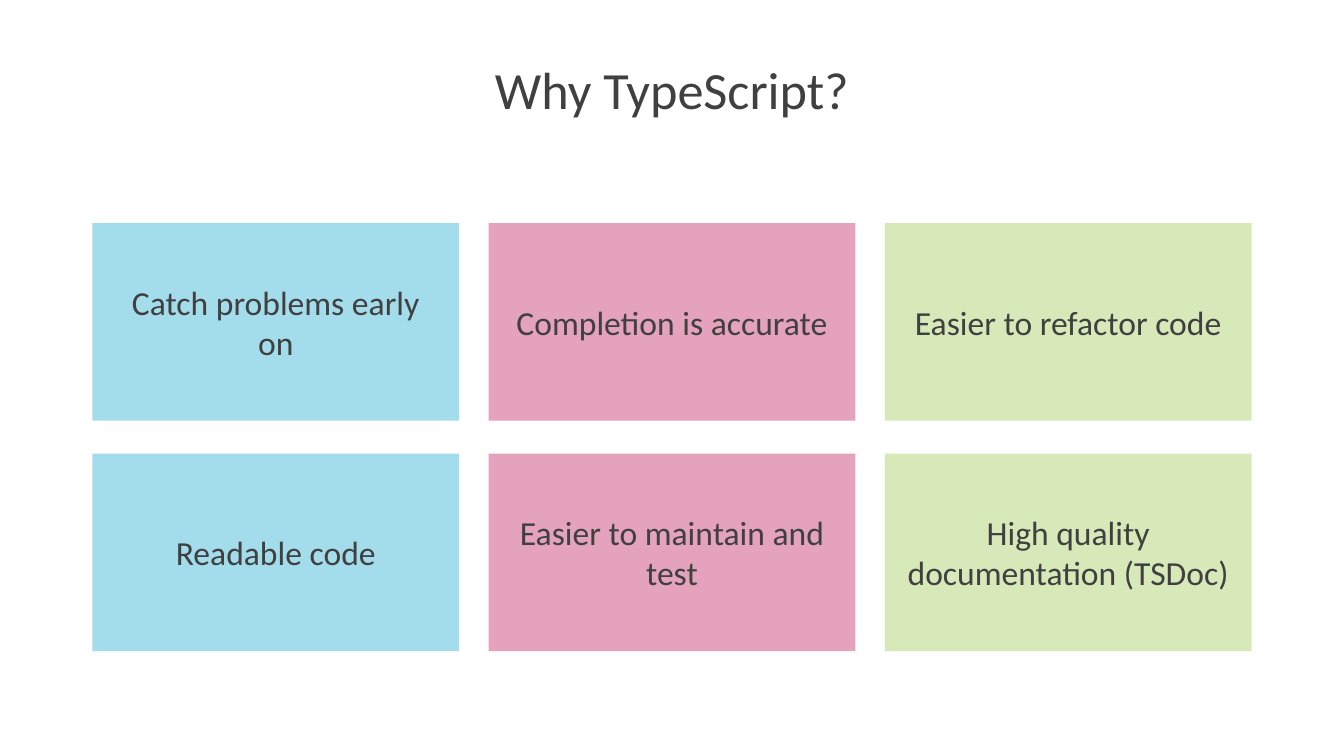
from pptx import Presentation
from pptx.dml.color import RGBColor
from pptx.enum.shapes import MSO_SHAPE
from pptx.enum.text import MSO_ANCHOR, PP_ALIGN
from pptx.util import Pt

TEXT = RGBColor(0x40, 0x40, 0x40)
BLUE = RGBColor(0xA3, 0xDC, 0xEB)
PINK = RGBColor(0xE5, 0xA2, 0xBC)
GREEN = RGBColor(0xD7, 0xE9, 0xB9)

COLUMN_FILLS = [BLUE, PINK, GREEN]
REASONS = [
    ["Catch problems early on", "Completion is accurate", "Easier to refactor code"],
    ["Readable code", "Easier to maintain and test", "High quality documentation (TSDoc)"],
]


def set_values(target, values):
    """Set each named attribute of the target."""
    for name, value in values.items():
        setattr(target, name, value)


def write_text(shape, text, size, margin, line_spacing):
    """Write one centred paragraph into the shape."""
    frame = shape.text_frame
    set_values(frame, {
        "word_wrap": True,
        "vertical_anchor": MSO_ANCHOR.MIDDLE,
        "margin_left": Pt(margin),
        "margin_right": Pt(margin),
        "margin_top": Pt(margin),
        "margin_bottom": Pt(margin),
    })
    paragraph = frame.paragraphs[0]
    paragraph.text = text
    set_values(paragraph, {"alignment": PP_ALIGN.CENTER, "line_spacing": line_spacing})
    set_values(paragraph.runs[0].font, {"name": "Calibri", "size": Pt(size)})
    paragraph.runs[0].font.color.rgb = TEXT


def add_title(slide, text, left, top, width, height):
    """Place the slide title in the given box."""
    title = slide.shapes.add_textbox(Pt(left), Pt(top), Pt(width), Pt(height))
    write_text(title, text, size=56, margin=0, line_spacing=0.9)


def add_card(slide, text, fill, left, top, width, height):
    """Place one filled reason card in the given box."""
    card = slide.shapes.add_shape(
        MSO_SHAPE.RECTANGLE, Pt(left), Pt(top), Pt(width), Pt(height))
    card.shadow.inherit = False
    card.fill.solid()
    card.fill.fore_color.rgb = fill
    card.line.fill.background()
    write_text(card, text, size=36, margin=21.6, line_spacing=1.0)


def add_card_grid(slide, rows, left, top, width, height, column_gap, row_gap):
    """Share the given box equally among rows of cards."""
    columns = len(COLUMN_FILLS)
    card_width = (width - column_gap * (columns - 1)) / columns
    card_height = (height - row_gap * (len(rows) - 1)) / len(rows)
    for row, reasons in enumerate(rows):
        for column, (reason, fill) in enumerate(zip(reasons, COLUMN_FILLS)):
            add_card(slide, reason, fill,
                     left + column * (card_width + column_gap),
                     top + row * (card_height + row_gap),
                     card_width, card_height)


def main():
    """Build and save the presentation."""
    presentation = Presentation()
    set_values(presentation, {"slide_width": Pt(1440), "slide_height": Pt(810)})
    slide = presentation.slides.add_slide(presentation.slide_layouts[6])
    add_title(slide, "Why TypeScript?", 99, 67.5, 1242, 64)
    add_card_grid(slide, REASONS, 99, 239, 1242, 458.6, column_gap=31.5, row_gap=35.4)
    presentation.save("out.pptx")


if __name__ == "__main__":
    main()
